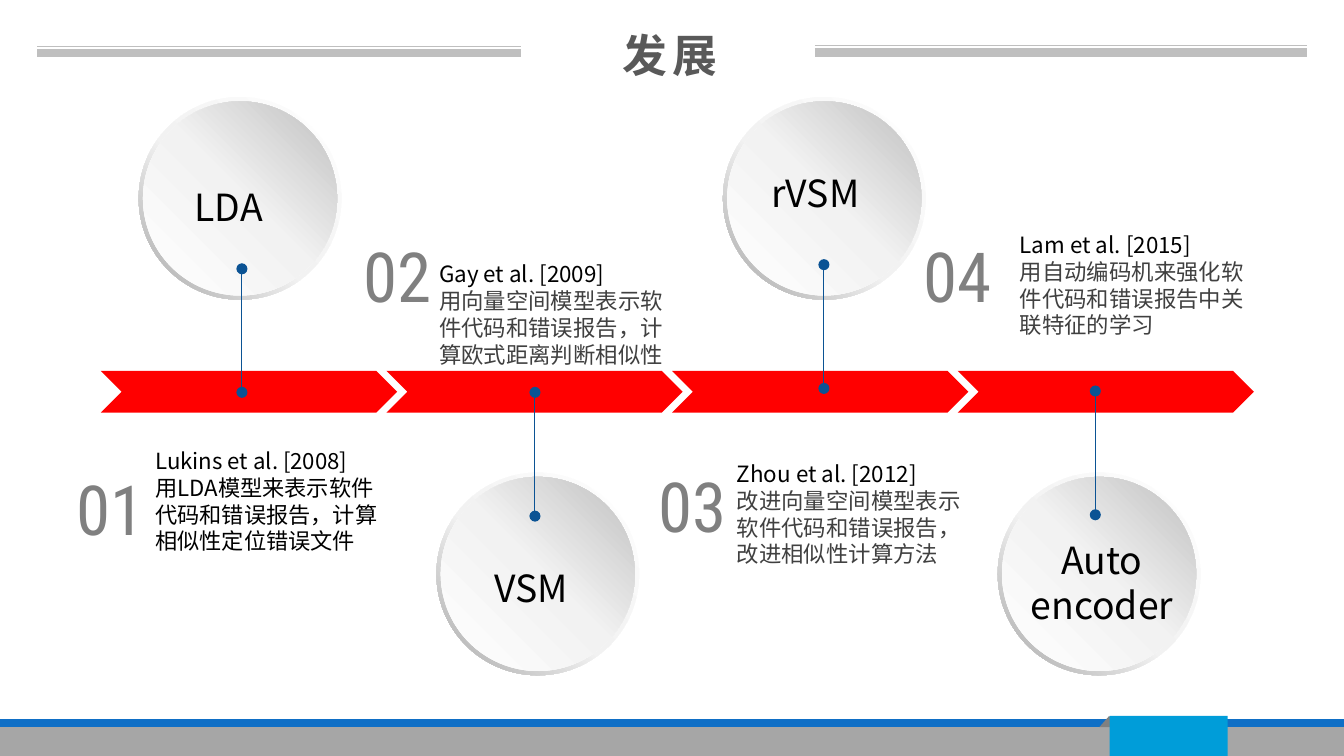
from copy import deepcopy

from pptx import Presentation
from pptx.dml.color import RGBColor
from pptx.enum import shapes, text
from pptx.oxml.ns import qn
from pptx.util import Pt
from lxml import etree

WHITE = RGBColor(0xFF, 0xFF, 0xFF)
PALE = RGBColor(0xF2, 0xF2, 0xF2)
SILVER = RGBColor(0xBF, 0xBF, 0xBF)
GRAY = RGBColor(0xA6, 0xA6, 0xA6)
MID_GRAY = RGBColor(0x80, 0x80, 0x80)
TITLE_GRAY = RGBColor(0x59, 0x59, 0x59)
BODY_GRAY = RGBColor(0x40, 0x40, 0x40)
BLACK = RGBColor(0, 0, 0)
RED = RGBColor(0xFF, 0, 0)
BLUE = RGBColor(0x0F, 0x6F, 0xC6)
SKY = RGBColor(0x00, 0x9D, 0xD9)
NAVY = RGBColor(0x0B, 0x53, 0x94)

BODY_FONT = "Noto Sans CJK SC"
NUMBER_FONT = "Roboto Condensed"
SHAPE = shapes.MSO_SHAPE
CENTER = text.PP_ALIGN.CENTER

RIM_STOPS = [(0, WHITE), (0.55, PALE), (1, GRAY)]
FACE_STOPS = [(0, WHITE), (0.51, PALE), (1, SILVER)]

# Disc left, top; label box, lines and alignment
DISCS = [
    (74.3, 52, (97.2, 95, 58.3, 31.7), ["LDA"], None),
    (387.3, 52, (406.1, 87.8, 69.8, 31.7), ["rVSM"], None),
    (233.8, 253.2, (257.8, 299.5, 69.8, 31.7), ["VSM"], None),
    (534.5, 253.2, (540, 284.4, 100.8, 55.4), ["Auto", "encoder"], CENTER),
]

# Pin x, end in the disc, end on the arrow band
PINS = [(129.6, 144, 210.2), (286.6, 276.5, 210.2),
        (441.4, 141.8, 208.1), (586.8, 275.8, 209.5)]

# Number, its left and top; note left and top; author, summary, size, colour
STEPS = [
    ("01", 31, 254.9, 76.2, 236.2, "Lukins et al. [2008]",
     "用LDA模型来表示软件代码和错误报告，计算相似性定位错误文件", 11.9, BLACK),
    ("02", 184.3, 130.3, 228.2, 136.1, "Gay et al. [2009]",
     "用向量空间模型表示软件代码和错误报告，计算欧式距离判断相似性", 12, BODY_GRAY),
    ("03", 342.7, 253.4, 387.7, 242.9, "Zhou et al. [2012]",
     "改进向量空间模型表示软件代码和错误报告，改进相似性计算方法", 12, BODY_GRAY),
    ("04", 484.6, 130.3, 539.3, 120.2, "Lam et al. [2015]",
     "用自动编码机来强化软件代码和错误报告中关联特征的学习", 12, BODY_GRAY),
]


def points(*lengths):
    return [Pt(length) for length in lengths]


def add_block(slide, kind, box, color=None):
    block = slide.shapes.add_shape(kind, *points(*box))
    block.shadow.inherit = False
    block.line.fill.background()
    if color is not None:
        block.fill.solid()
        block.fill.fore_color.rgb = color
    return block


def fill_gradient(block, stops, angle):
    block.fill.gradient()
    block.fill.gradient_angle = angle
    stop_list = block.fill._fill._gradFill.find(qn("a:gsLst"))
    stop_list.append(deepcopy(stop_list[0]))
    for stop, (position, color) in zip(block.fill.gradient_stops, stops):
        stop.position = position
        stop.color.rgb = color


def add_line(slide, start, end, color, width, ends=None):
    line = slide.shapes.add_connector(
        shapes.MSO_CONNECTOR.STRAIGHT, *points(*start, *end))
    line.line.color.rgb = color
    line.line.width = Pt(width)
    if ends:
        for tag in ("a:headEnd", "a:tailEnd"):
            etree.SubElement(line.line._ln, qn(tag), type=ends)
    etree.SubElement(line._element.spPr, qn("a:effectLst"))


def add_text(slide, box, lines, size, colors, font=BODY_FONT, bold=False,
             align=None, line_spacing=None, tracking=None):
    frame = slide.shapes.add_textbox(*points(*box)).text_frame
    frame.word_wrap = True
    for i, (line, color) in enumerate(zip(lines, colors)):
        paragraph = frame.paragraphs[0] if i == 0 else frame.add_paragraph()
        for name, value in {"alignment": align,
                            "line_spacing": line_spacing}.items():
            setattr(paragraph, name, value)
        run = paragraph.add_run()
        run.text = line
        for name, value in {"size": Pt(size), "name": font,
                            "bold": bold}.items():
            setattr(run.font, name, value)
        run.font.color.rgb = color
        properties = run.font._element
        east_asian = etree.SubElement(properties, qn("a:ea"))
        east_asian.set("typeface", font)
        if tracking:
            properties.set("spc", str(tracking * 100))


def add_footer(slide):
    add_block(slide, SHAPE.RECTANGLE, (0, 385.2, 720, 19.8), BLUE)
    add_block(slide, SHAPE.RECTANGLE, (0, 389.5, 720, 15.5), GRAY)
    outline = slide.shapes.build_freeform(*points(594, 383.8))
    outline.add_line_segments(
        [points(648.7, 383.8), points(649.4, 390.2), points(589, 389.5)])
    fold = outline.convert_to_shape()
    fold.shadow.inherit = False
    fold.fill.solid()
    fold.fill.fore_color.rgb = MID_GRAY
    fold.line.fill.background()
    add_block(slide, SHAPE.RECTANGLE, (594.5, 383.5, 63.2, 21.5), SKY)


def add_title(slide):
    for left, right, top in ((20, 279.3, 25), (436.5, 700, 24.6)):
        add_line(slide, (left, top), (right, top), SILVER, 0.5)
        add_line(slide, (left, top + 3.5), (right, top + 3.5), SILVER, 4.5)
    add_text(slide, (281.5, 11.5, 154.8, 36), ["发展"], 24, [TITLE_GRAY],
             bold=True, align=CENTER, tracking=3)


def add_disc(slide, left, top):
    rim = add_block(slide, SHAPE.DONUT, (left, top, 108.6, 108.6))
    rim.adjustments[0] = 0.05
    fill_gradient(rim, RIM_STOPS, 225)
    face = add_block(slide, SHAPE.OVAL, (left + 2.3, top + 2.3, 104, 104))
    fill_gradient(face, FACE_STOPS, 45)


def main():
    deck = Presentation()
    deck.slide_width, deck.slide_height = points(720, 405)
    slide = deck.slides.add_slide(deck.slide_layouts[6])

    add_footer(slide)
    add_title(slide)

    # Discs behind the timeline
    for left, top, *_ in DISCS:
        add_disc(slide, left, top)

    # Arrow band and its pins
    for i in range(4):
        add_block(slide, SHAPE.CHEVRON, (54 + 153 * i, 198.7, 158.7, 22.4), RED)
    for x, disc_end, band_end in PINS:
        add_line(slide, (x, disc_end), (x, band_end), NAVY, 0.5, ends="oval")

    # Disc labels
    for _, _, box, lines, align in DISCS:
        add_text(slide, box, lines, 20, [BLACK] * len(lines), align=align)

    # Numbers and notes
    for number, x, y, note_x, note_y, author, summary, size, color in STEPS:
        add_text(slide, (x, y, 56.9, 44.6), [number], 37, [MID_GRAY],
                 font=NUMBER_FONT, align=CENTER, line_spacing=0.8)
        add_text(slide, (note_x, note_y, 138, 62.6), [author, summary], size,
                 [BLACK, color])

    deck.save("out.pptx")


if __name__ == "__main__":
    main()
